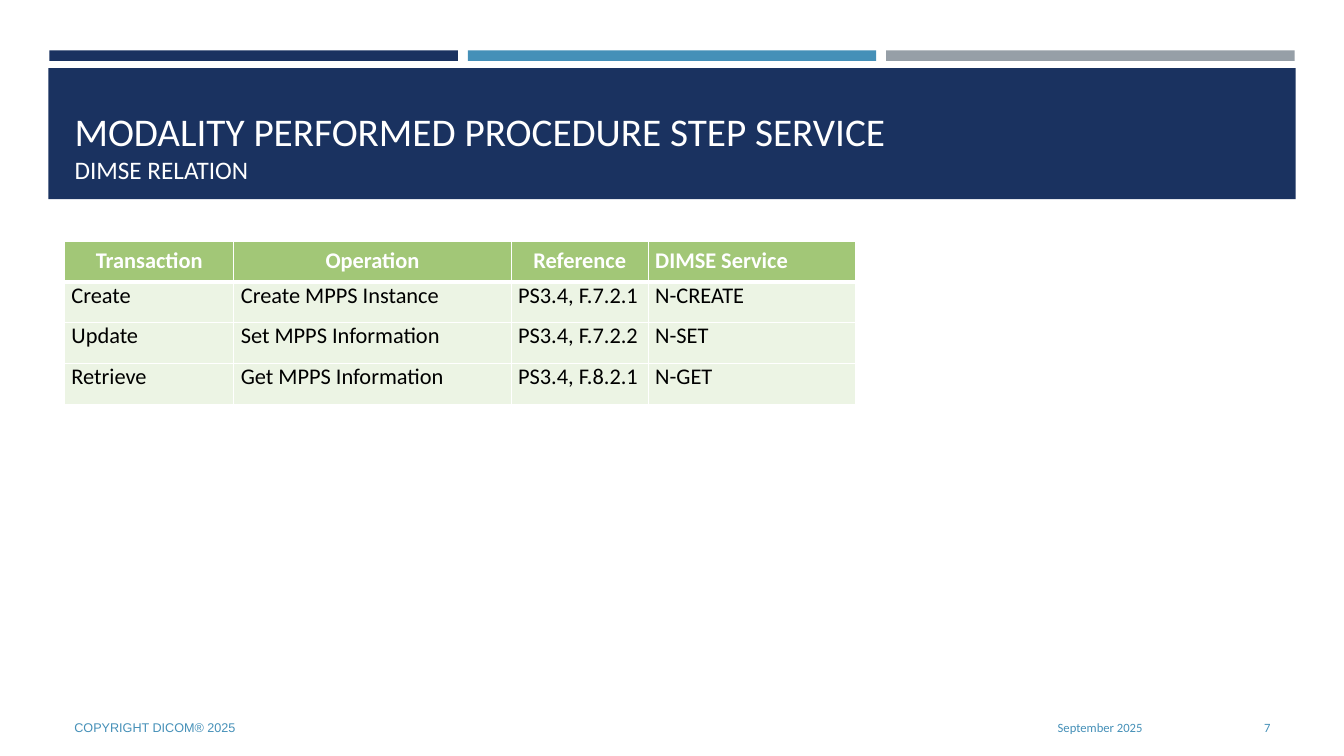
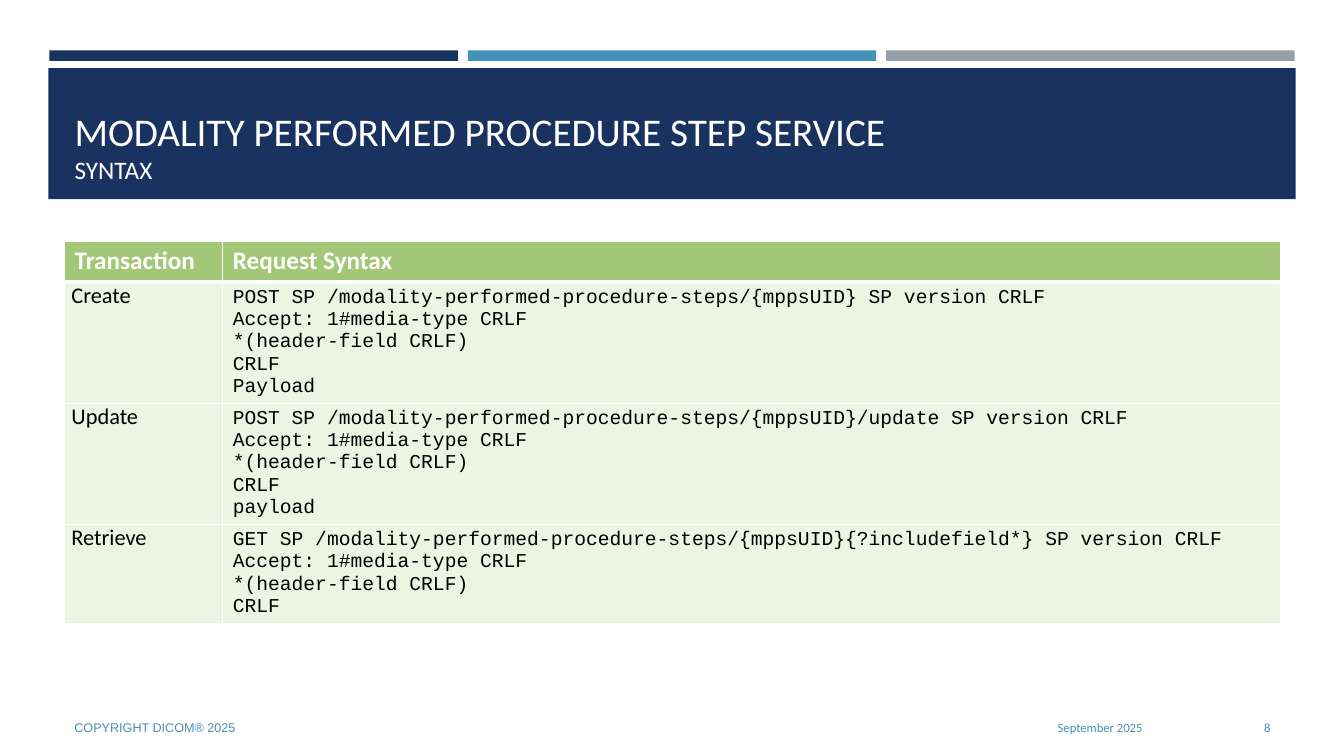
import dataclasses
import itertools

import lxml.etree
import pptx
import pptx.dml.color
import pptx.enum.shapes
import pptx.enum.text
import pptx.oxml.ns
import pptx.util

NAVY, BLUE, GRAY = "1A3260", "4590B8", "969FA7"
GREEN, PALE_GREEN, WHITE, BLACK = "A2C777", "ECF4E4", "FFFFFF", "000000"
SANS, FOOTER_FONT, MONO = "Calibri", "Arial", "Courier New"
LEFT = pptx.enum.text.PP_ALIGN.LEFT
CENTER = pptx.enum.text.PP_ALIGN.CENTER
RIGHT = pptx.enum.text.PP_ALIGN.RIGHT
MIDDLE = pptx.enum.text.MSO_ANCHOR.MIDDLE
TOP = pptx.enum.text.MSO_ANCHOR.TOP
SLIDE_WIDTH = pptx.util.Inches(13.33)
SLIDE_HEIGHT = pptx.util.Inches(7.5)


@dataclasses.dataclass
class Box:
    left: int
    top: int
    width: int
    height: int

    def values(self):
        return self.left, self.top, self.width, self.height

    def area(self, left, top, width, height):
        return Box(
            self.left + round(self.width * left / 100),
            self.top + round(self.height * top / 100),
            round(self.width * width / 100),
            round(self.height * height / 100),
        )


@dataclasses.dataclass
class CellStyle:
    size: int = 16
    font: str = SANS
    color: str = BLACK
    fill: str = PALE_GREEN
    bold: bool = False
    align: int = LEFT
    anchor: int = TOP
    side_inset: float = 5
    end_inset: float = 0
    spacing: int = 2


PAGE = Box(0, 0, SLIDE_WIDTH, SLIDE_HEIGHT)
STRIPS = PAGE.area(3.68, 6.67, 92.65, 1.4)
TITLE_BAND = PAGE.area(3.6, 9, 92.8, 17.33)
TITLE = PAGE.area(4.8, 10.27, 90.4, 14.8)
FOOTER = PAGE.area(4.8, 93.6, 90.47, 5.33)

BODY = CellStyle()
HEADER = CellStyle(color=WHITE, fill=GREEN, bold=True, anchor=MIDDLE)
CENTERED_HEADER = dataclasses.replace(HEADER, align=CENTER)
ROOMY = {"side_inset": 7.2, "end_inset": 3.6, "spacing": 0}
LARGE_HEADER = dataclasses.replace(HEADER, size=18, anchor=TOP, **ROOMY)
CODE = CellStyle(size=14, font=MONO, **ROOMY)


def rgb(color):
    return pptx.dml.color.RGBColor.from_string(color)


def add_run(paragraph, text, size, color, font=SANS, bold=False):
    run = paragraph.add_run()
    run.text = text
    run.font.size = pptx.util.Pt(size)
    run.font.name = font
    run.font.bold = bold
    run.font.color.rgb = rgb(color)


def add_bar(slide, box, color):
    bar = slide.shapes.add_shape(
        pptx.enum.shapes.MSO_SHAPE.RECTANGLE, *box.values()
    )
    bar.shadow.inherit = False
    bar.fill.solid()
    bar.fill.fore_color.rgb = rgb(color)
    bar.line.fill.background()
    return bar


def add_bands(slide):
    gap = 0.8
    width = (100 - 2 * gap) / 3
    bars = [
        add_bar(slide, STRIPS.area(index * (width + gap), 0, width, 100), color)
        for index, color in enumerate([NAVY, BLUE, GRAY])
    ]
    return bars + [add_bar(slide, TITLE_BAND, NAVY)]


def share_bands(slide):
    layout_tree = slide.slide_layout.element.cSld.spTree
    for bar in add_bands(slide):
        layout_tree.append(bar.element)


def set_title(slide, box, heading, subheading):
    title = slide.shapes.title
    title.left, title.top, title.width, title.height = box.values()
    frame = title.text_frame
    frame.word_wrap = True
    frame.auto_size = pptx.enum.text.MSO_AUTO_SIZE.NONE
    frame.vertical_anchor = pptx.enum.text.MSO_ANCHOR.BOTTOM
    paragraph = frame.paragraphs[0]
    paragraph.alignment = LEFT
    add_run(paragraph, heading, 28, WHITE)
    paragraph.add_line_break()
    add_run(paragraph, subheading, 18, WHITE)


def add_footer(slide, box, number):
    entries = [
        ("COPYRIGHT DICOM® 2025", 0, 62.7, LEFT, FOOTER_FONT),
        ("September 2025", 63.68, 25.79, RIGHT, SANS),
        (str(number), 90.46, 9.54, RIGHT, SANS),
    ]
    for text, left, width, align, font in entries:
        textbox = slide.shapes.add_textbox(*box.area(left, 0, width, 100).values())
        frame = textbox.text_frame
        frame.word_wrap = True
        frame.vertical_anchor = MIDDLE
        paragraph = frame.paragraphs[0]
        paragraph.alignment = align
        add_run(paragraph, text, 9, BLUE, font)


def set_borders(cell, top, bottom):
    properties = cell._tc.get_or_add_tcPr()
    widths = {"a:lnL": 1, "a:lnR": 1, "a:lnT": top, "a:lnB": bottom}
    for tag, width in widths.items():
        line = lxml.etree.SubElement(
            properties, pptx.oxml.ns.qn(tag), w=str(pptx.util.Pt(width))
        )
        fill = lxml.etree.SubElement(line, pptx.oxml.ns.qn("a:solidFill"))
        lxml.etree.SubElement(fill, pptx.oxml.ns.qn("a:srgbClr"), val=WHITE)


def fill_cell(cell, text, style):
    cell.fill.solid()
    cell.fill.fore_color.rgb = rgb(style.fill)
    cell.vertical_anchor = style.anchor
    cell.margin_left = cell.margin_right = pptx.util.Pt(style.side_inset)
    cell.margin_top = cell.margin_bottom = pptx.util.Pt(style.end_inset)
    frame = cell.text_frame
    for index, line in enumerate(text.split("\n")):
        paragraph = frame.add_paragraph() if index else frame.paragraphs[0]
        paragraph.alignment = style.align
        paragraph.space_before = paragraph.space_after = pptx.util.Pt(style.spacing)
        add_run(paragraph, line, style.size, style.color, style.font, style.bold)


def add_table(slide, box, columns, heights, rows, header_styles, body_styles):
    table = slide.shapes.add_table(len(rows), len(columns), *box.values()).table
    table.horz_banding = False
    for column, weight in zip(table.columns, columns):
        column.width = round(box.width * weight / sum(columns))
    for row, weight in zip(table.rows, heights):
        row.height = round(box.height * weight / sum(heights))
    styles = itertools.chain([header_styles], itertools.repeat(body_styles))
    for index, (row, row_styles) in enumerate(zip(rows, styles)):
        for cell, text, style in zip(table.rows[index].cells, row, row_styles):
            set_borders(cell, 3 if index == 1 else 1, 3 if index == 0 else 1)
            fill_cell(cell, text, style)


def add_relation_table(slide):
    rows = [
        ("Transaction", "Operation", "Reference", "DIMSE Service"),
        ("Create", "Create MPPS Instance", "PS3.4, F.7.2.1", "N-CREATE"),
        ("Update", "Set MPPS Information", "PS3.4, F.7.2.2", "N-SET"),
        ("Retrieve", "Get MPPS Information", "PS3.4, F.8.2.1", "N-GET"),
    ]
    add_table(
        slide, PAGE.area(4.8, 31.87, 58.89, 21.6),
        [1.68, 2.75, 1.36, 2.06], [1, 1, 1, 1], rows,
        [CENTERED_HEADER] * 3 + [HEADER], [BODY] * 4,
    )


def request(method, target, payload=""):
    lines = [
        f"{method} SP /modality-performed-procedure-steps/{{mppsUID}}{target} SP version CRLF",
        "Accept: 1#media-type CRLF",
        "*(header-field CRLF)",
        "CRLF",
    ]
    return "\n".join(lines + [payload] if payload else lines)


def add_syntax_table(slide):
    rows = [
        ("Transaction", "Request Syntax"),
        ("Create", request("POST", "", "Payload")),
        ("Update", request("POST", "/update", "payload")),
        ("Retrieve", request("GET", "{?includefield*}")),
    ]
    add_table(
        slide, PAGE.area(4.8, 31.87, 90.47, 50.53),
        [1.57, 10.49], [0.41, 1.2, 1.2, 0.98], rows,
        [LARGE_HEADER] * 2, [BODY, CODE],
    )


def main():
    presentation = pptx.Presentation()
    presentation.slide_width = SLIDE_WIDTH
    presentation.slide_height = SLIDE_HEIGHT
    layout = presentation.slide_layouts[5]
    contents = [
        ("DIMSE RELATION", add_relation_table),
        ("SYNTAX", add_syntax_table),
    ]
    for number, (subheading, add_content) in enumerate(contents, start=7):
        slide = presentation.slides.add_slide(layout)
        if number == 7:
            share_bands(slide)
        set_title(
            slide, TITLE, "MODALITY PERFORMED PROCEDURE STEP SERVICE", subheading
        )
        add_content(slide)
        add_footer(slide, FOOTER, number)
    presentation.save("out.pptx")


if __name__ == "__main__":
    main()
